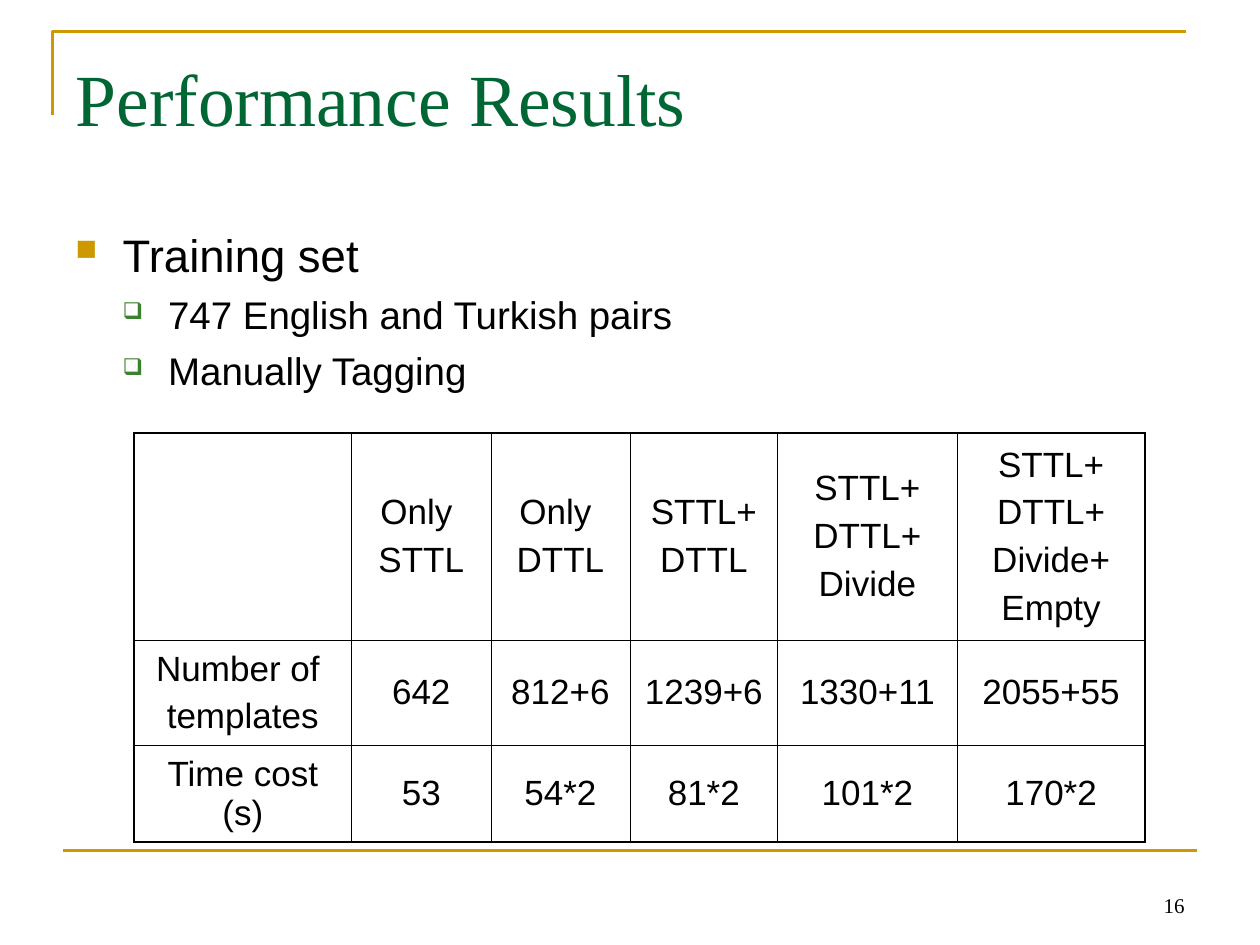
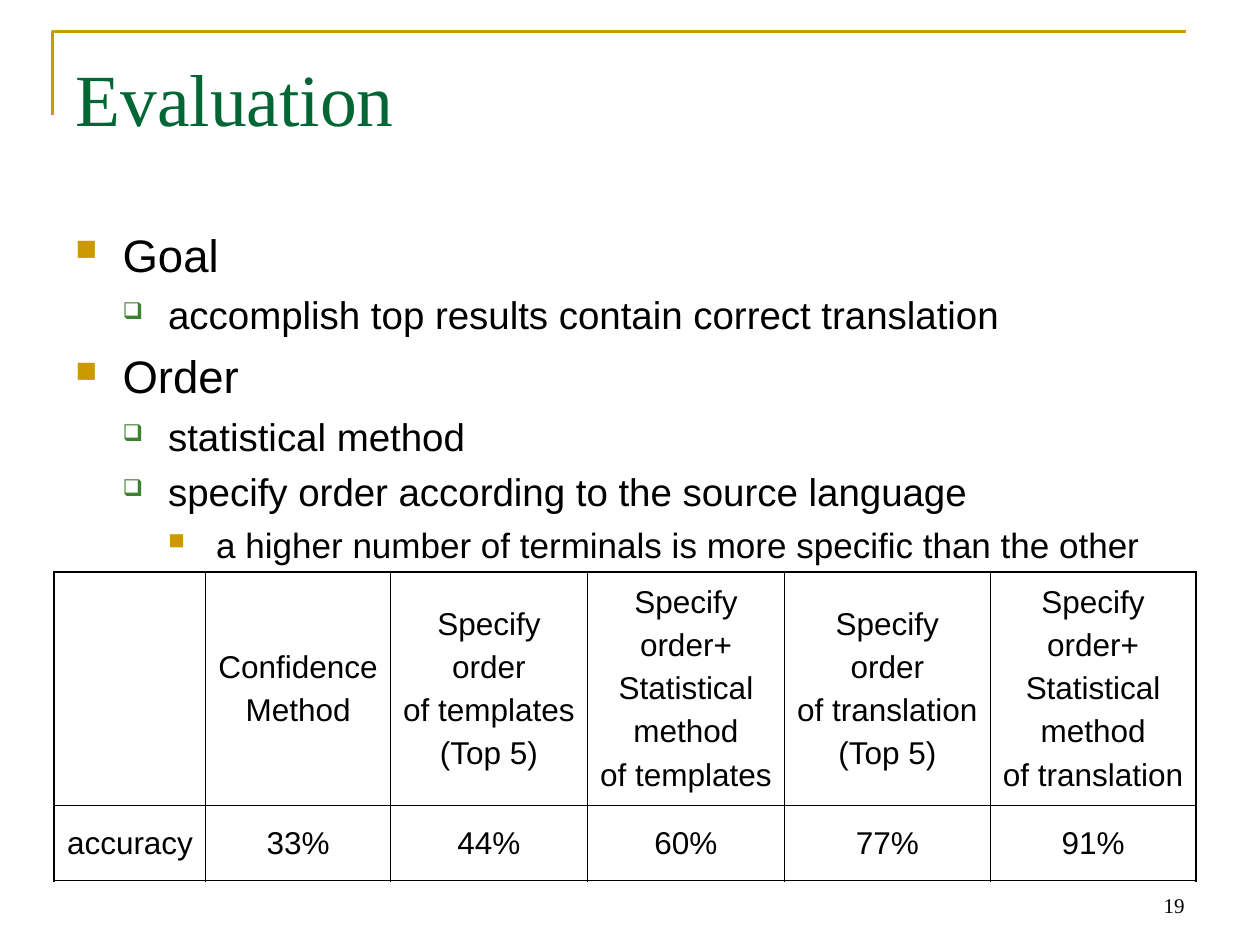
import dataclasses
import lxml.etree
import pptx
import pptx.dml.color
import pptx.enum.shapes
import pptx.enum.text
import pptx.oxml.ns
import pptx.util

Pt = pptx.util.Pt
RGB = pptx.dml.color.RGBColor.from_string
qn = pptx.oxml.ns.qn
ALIGN = pptx.enum.text.PP_ALIGN
ANCHOR = pptx.enum.text.MSO_ANCHOR


@dataclasses.dataclass(frozen=True)
class Theme:
    gold: str = "CC9900"
    title_green: str = "006633"
    bullet_green: str = "3B812F"
    ink: str = "000000"
    paper: str = "FFFFFF"
    serif: str = "Times New Roman"
    sans: str = "Arial"
    title_size: int = 42
    number_size: int = 12
    rule_width: float = 1.5
    outer_border: float = 1.08
    inner_border: float = 0.45


theme = Theme()

levels = [
    {"size": 26, "before": 6.5, "margin": 27, "hang": 27,
     "mark": "■", "mark_color": theme.gold, "mark_scale": 65},
    {"size": 22, "before": 5.5, "margin": 53, "hang": 26,
     "mark": "❑", "mark_color": theme.bullet_green, "mark_scale": 60},
    {"size": 20, "before": 5, "margin": 80.5, "hang": 27.5,
     "mark": "■", "mark_color": theme.gold, "mark_scale": 65},
]

pages = [
    {
        "title": "Performance Results",
        "number": "16",
        "body_width": 641.5,
        "outline": [
            (0, "Training set"),
            (1, "747 English and Turkish pairs"),
            (1, "Manually Tagging"),
        ],
        "origin": (76.5, 247.5),
        "widths": [124.5, 79.5, 79.5, 84.5, 102.5, 107.5],
        "heights": [115, 58.5, 52],
        "cell_size": 20,
        "cell_before": 5,
        "results": [
            ["", "Only \nSTTL", "Only \nDTTL", "STTL+\nDTTL", "STTL+\nDTTL+\nDivide",
             "STTL+\nDTTL+\nDivide+\nEmpty"],
            ["Number of \ntemplates", "642", "812+6", "1239+6", "1330+11", "2055+55"],
            ["Time cost (s)", "53", "54*2", "81*2", "101*2", "170*2"],
        ],
    },
    {
        "title": "Evaluation",
        "number": "19",
        "body_width": 647.5,
        "outline": [
            (0, "Goal"),
            (1, "accomplish top results contain correct translation"),
            (0, "Order"),
            (1, "statistical method"),
            (1, "specify order according to the source language"),
            (2, "a higher number of terminals is more specific than the other"),
        ],
        "origin": (31, 327),
        "widths": [86.6, 105.5, 112.6, 112.6, 117.6, 117.6],
        "heights": [132.5, 43],
        "cell_size": 18,
        "cell_before": 4.5,
        "results": [
            ["", "Confidence\nMethod",
             "Specify\norder\nof templates\n(Top 5)",
             "Specify\norder+\nStatistical\nmethod\nof templates",
             "Specify\norder\nof translation\n(Top 5)",
             "Specify\norder+\nStatistical\nmethod\nof translation"],
            ["accuracy", "33%", "44%", "60%", "77%", "91%"],
        ],
    },
]


def apply(target, values):
    for name, value in values.items():
        setattr(target, name, value)


def write(frame, index, text, face, size, color, layout):
    paragraph = frame.paragraphs[0] if index == 0 else frame.add_paragraph()
    apply(paragraph, layout)
    if index == 0:
        paragraph.space_before = Pt(0)
    run = paragraph.add_run()
    run.text = text
    apply(run.font, {"name": face, "size": Pt(size)})
    run.font.color.rgb = RGB(color)
    return paragraph


deck = pptx.Presentation()
apply(deck, {"slide_width": Pt(720), "slide_height": Pt(540)})
insets = {"margin_left": Pt(7.2), "margin_right": Pt(7.2),
          "margin_top": Pt(3.6), "margin_bottom": Pt(3.6)}

for page in pages:
    slide = deck.slides.add_slide(deck.slide_layouts[5])
    shapes = slide.shapes

    outline = shapes.build_freeform(30, 66, scale=Pt(1))
    outline.add_line_segments([(30, 18), (678, 18)], close=False)
    corner = outline.convert_to_shape()
    corner.fill.background()
    corner.shadow.inherit = False
    footer_rule = shapes.add_connector(
        pptx.enum.shapes.MSO_CONNECTOR.STRAIGHT, Pt(36), Pt(486), Pt(684), Pt(486))
    lxml.etree.SubElement(footer_rule._element.spPr, qn("a:effectLst"))
    for rule in (corner, footer_rule):
        rule.line.color.rgb = RGB(theme.gold)
        rule.line.width = Pt(theme.rule_width)

    title = shapes.title
    apply(title, {"left": Pt(36), "top": Pt(21.6), "width": Pt(648), "height": Pt(90)})
    apply(title.text_frame, {**insets, "margin_top": Pt(8.5), "word_wrap": True,
                             "vertical_anchor": ANCHOR.TOP,
                             "auto_size": pptx.enum.text.MSO_AUTO_SIZE.NONE})
    write(title.text_frame, 0, page["title"], theme.serif, theme.title_size,
          theme.title_green, {"alignment": ALIGN.LEFT})

    body = shapes.add_textbox(Pt(36), Pt(126), Pt(page["body_width"]), Pt(356.5)).text_frame
    apply(body, {**insets, "word_wrap": True})
    for index, (depth, text) in enumerate(page["outline"]):
        level = levels[depth]
        paragraph = write(body, index, text, theme.sans, level["size"], theme.ink,
                          {"level": depth, "space_before": Pt(level["before"])})
        properties = paragraph._p.get_or_add_pPr()
        properties.set("marL", str(Pt(level["margin"])))
        properties.set("indent", str(-Pt(level["hang"])))
        mark_color = lxml.etree.SubElement(properties, qn("a:buClr"))
        lxml.etree.SubElement(mark_color, qn("a:srgbClr"), val=level["mark_color"])
        lxml.etree.SubElement(properties, qn("a:buSzPct"), val=str(level["mark_scale"] * 1000))
        lxml.etree.SubElement(properties, qn("a:buChar"), char=level["mark"])

    results = page["results"]
    last_row, last_column = len(results) - 1, len(results[0]) - 1
    table = shapes.add_table(
        last_row + 1, last_column + 1, *map(Pt, page["origin"]),
        Pt(sum(page["widths"])), Pt(sum(page["heights"]))).table
    apply(table, {"first_row": False, "horz_banding": False})
    for column, width in zip(table.columns, page["widths"]):
        column.width = Pt(width)
    for row, height in zip(table.rows, page["heights"]):
        row.height = Pt(height)
    for r, entries in enumerate(results):
        for c, entry in enumerate(entries):
            cell = table.cell(r, c)
            apply(cell, {**insets, "vertical_anchor": ANCHOR.MIDDLE})
            cell.fill.solid()
            cell.fill.fore_color.rgb = RGB(theme.paper)
            for index, line in enumerate(entry.split("\n") if entry else []):
                write(cell.text_frame, index, line, theme.sans, page["cell_size"], theme.ink,
                      {"alignment": ALIGN.CENTER, "space_before": Pt(page["cell_before"])})
            edges = {"lnL": c == 0, "lnR": c == last_column,
                     "lnT": r == 0, "lnB": r == last_row}
            for position, (edge, is_outer) in enumerate(edges.items()):
                weight = theme.outer_border if is_outer else theme.inner_border
                border = lxml.etree.Element(qn("a:" + edge), w=str(Pt(weight)))
                stroke = lxml.etree.SubElement(border, qn("a:solidFill"))
                lxml.etree.SubElement(stroke, qn("a:srgbClr"), val=theme.ink)
                cell._tc.get_or_add_tcPr().insert(position, border)

    number = shapes.add_textbox(Pt(516), Pt(492), Pt(168), Pt(36)).text_frame
    apply(number, {**insets, "word_wrap": True, "vertical_anchor": ANCHOR.BOTTOM})
    write(number, 0, page["number"], theme.serif, theme.number_size, theme.ink,
          {"alignment": ALIGN.RIGHT})

deck.save("out.pptx")
